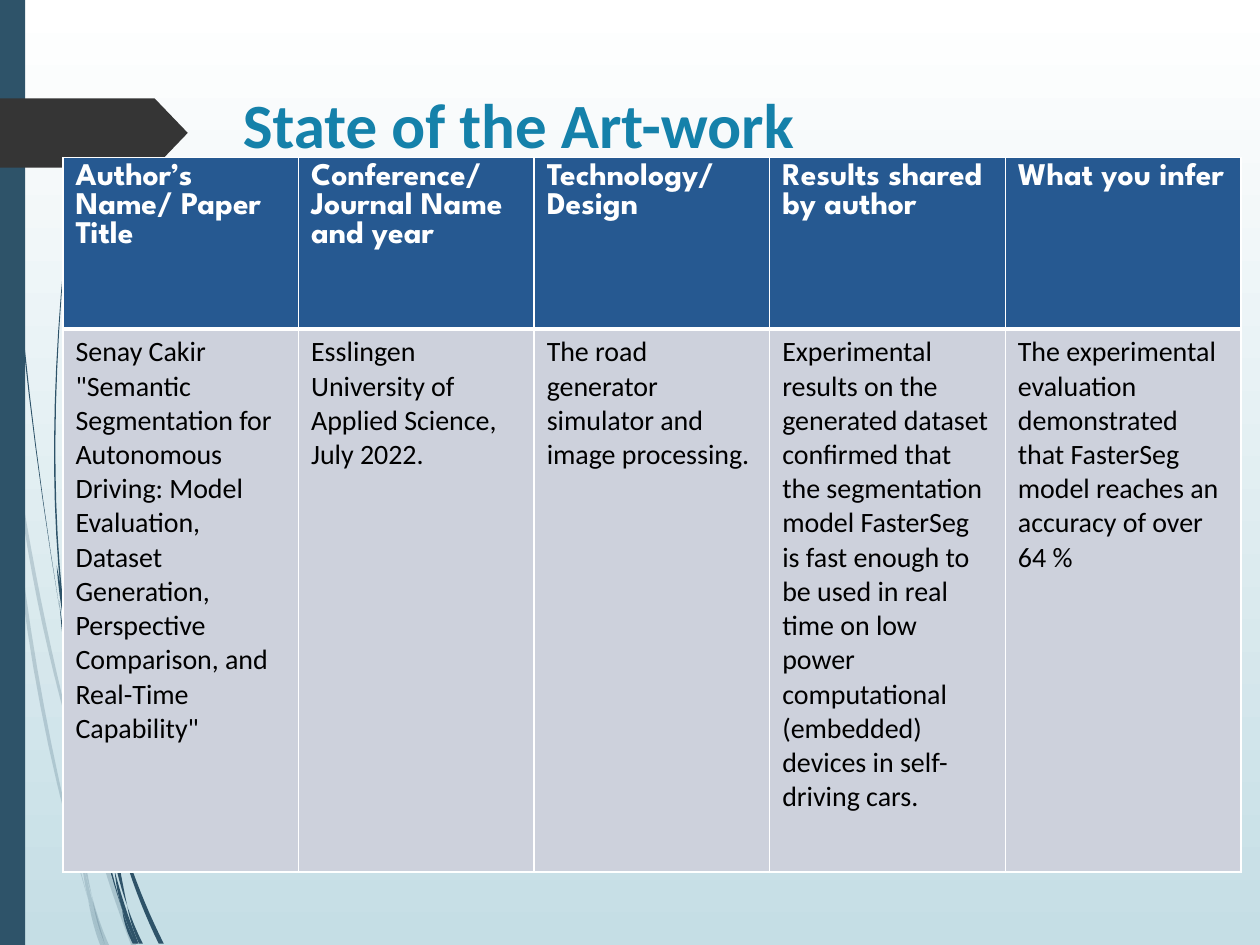
import pptx
import pptx.dml.color
import pptx.enum.shapes
import pptx.enum.text
import pptx.oxml
import pptx.oxml.ns
import pptx.util
from pptx.util import Inches

SLATE, CHARCOAL, WHITE, BLACK = "2E5369", "353535", "FFFFFF", "000000"
SKY, TEAL, NAVY, SILVER = "C5DEE5", "1581AA", "265991", "CDD1DC"
STEPS = 12

PALE_BLADES = {
    "left tip": [(.01, 2.85, .02), (.04, 3.18, .02), (.08, 3.5, 0)],
    "upper stem": [(.11, 3.55, .01), (.31, 4.76, .03), (.59, 5.93, .01)],
    "lower stem": [(.61, 6.03, .01), (.8, 6.75, .03), (1.06, 7.5, .04)],
    "outer stem": [(.08, 3.5, 0), (.28, 5.3, .03), (.7, 7.14, 0)],
    "inner stem": [(.59, 5.99, 0), (.62, 6.55, .03), (.73, 7.11, 0)],
    "tall leaf": [(.6, 5.9, .02), (1, 3.75, .01), (2.17, 1.53, 0)],
    "joint": [(.59, 5.86, 0), (.6, 5.98, .03), (.61, 6.1, 0)],
    "outer root": [(.7, 7.14, 0), (.75, 7.33, .02), (.81, 7.5, .03)],
    "middle root": [(.65, 6.83, 0), (.72, 7.15, .03), (.83, 7.5, .01)],
    "inner root": [(.73, 7.11, 0), (.78, 7.31, .02), (.85, 7.5, .03)],
}
DARK_BLADES = {
    "upper stem": [(.03, 0, .01), (.15, 2.33, .01), (.47, 4.81, 0)],
    "middle stem": [(.5, 4.72, 0), (.67, 5.58, .03), (.88, 6.4, 0)],
    "lower stem": [(.91, 6.48, .01), (1.07, 7, .03), (1.28, 7.49, .04)],
    "outer stem": [(.47, 4.77, 0), (.66, 6, .03), (.97, 7.22, 0)],
    "inner stem": [(.88, 6.45, 0), (.92, 6.8, .03), (1.01, 7.19, 0)],
    "straight leaf": [(.58, 1.41, 0), (.44, 3.2, .01), (.49, 4.72, .01)],
    "tall leaf": [(.9, 6.36, .03), (1.22, 4.95, .02), (2.16, 3.44, 0)],
    "upper joint": [(.45, 4.49, 0), (.49, 4.77, .02), (.53, 5.05, 0)],
    "lower joint": [(.88, 6.31, 0), (.9, 6.44, .03), (.91, 6.56, 0)],
    "outer root": [(.97, 7.22, 0), (1.01, 7.36, .02), (1.07, 7.49, .03)],
    "middle root": [(.91, 6.91, 0), (.98, 7.2, .03), (1.09, 7.49, .02)],
    "inner root": [(1.01, 7.19, 0), (1.06, 7.35, .02), (1.12, 7.49, .03)],
}

SURVEY = {
    "Author’s Name/ Paper Title":
        'Senay Cakir\n"Semantic Segmentation for Autonomous Driving: Model Evaluation, '
        'Dataset Generation, Perspective Comparison, and Real-Time Capability"',
    "Conference/Journal Name and year":
        "Esslingen University of Applied Science, July 2022.",
    "Technology/ Design":
        "The road generator simulator and image processing.",
    "Results shared by author":
        "Experimental results on the generated dataset confirmed that the segmentation "
        "model FasterSeg is fast enough to be used in real time on low power "
        "computational (embedded) devices in self-driving cars.",
    "What you infer":
        "The experimental evaluation demonstrated that FasterSeg model reaches an "
        "accuracy of over 64 %",
}
TITLE_FONT = {"name": "Calibri", "size": pptx.util.Pt(36), "bold": True}
HEADER_FONT = {"name": "League Spartan", "size": pptx.util.Pt(18), "bold": True}
ENTRY_FONT = {"name": "Calibri", "size": pptx.util.Pt(16), "bold": False}


def rgb(value):
    """Return the colour for a hex string."""
    return pptx.dml.color.RGBColor.from_string(value)


def paint(sp, color, alpha=None):
    """Give a shape a plain fill, with an optional opacity in percent."""
    sp.shadow.inherit = False
    sp.fill.solid()
    sp.fill.fore_color.rgb = rgb(color)
    sp.line.fill.background()
    if alpha is not None:
        clr = sp._element.spPr.find(".//" + pptx.oxml.ns.qn("a:srgbClr"))
        clr.append(pptx.oxml.parse_xml(
            f'<a:alpha {pptx.oxml.ns.nsdecls("a")} val="{alpha * 1000}"/>'))


def blend(knots, t):
    """Return x, y and width at t on the parabola through three knots."""
    weights = ((1 - t) * (1 - 2 * t), 4 * t * (1 - t), t * (2 * t - 1))
    return [sum(w * v for w, v in zip(weights, values)) for values in zip(*knots)]


def add_blade(s, knots, box, color, alpha):
    """Draw a curved blade of grass from its (x, y, width) root, middle and tip."""
    left, top = box[:2]
    spine = [blend(knots, i / STEPS) for i in range(STEPS + 1)]
    edges = [[(left + Inches(x + side * width / 2), top + Inches(y))
              for x, y, width in spine] for side in (-1, 1)]
    outline = edges[0] + edges[1][::-1]
    builder = s.shapes.build_freeform(*outline[0])
    builder.add_line_segments(outline[1:], close=True)
    paint(builder.convert_to_shape(), color, alpha)


def add_grass(s, box):
    """Draw the pale blades and then the dark blades over them."""
    for blades, alpha in ((PALE_BLADES, 20), (DARK_BLADES, None)):
        for knots in blades.values():
            add_blade(s, knots, box, SLATE, alpha)


def add_gradient(s):
    """Set the background to fade downwards from white."""
    fill = s.background.fill
    fill.gradient()
    fill.gradient_angle = 270
    for stop, position, color in zip(fill.gradient_stops, (0, 1), (WHITE, SKY)):
        stop.position = position
        stop.color.rgb = rgb(color)


def add_side_bar(s, box):
    """Draw the bar on the left edge and the arrow tag across it."""
    left, top, width, height = box
    shapes = pptx.enum.shapes.MSO_SHAPE
    bar = s.shapes.add_shape(shapes.RECTANGLE, left, top, width, height)
    paint(bar, SLATE)
    tag = s.shapes.add_shape(shapes.PENTAGON, left, top + Inches(0.78),
                             Inches(1.49), Inches(0.55))
    tag.adjustments[0] = 0.48
    paint(tag, CHARCOAL)


def write(tf, text, font, color):
    """Fill a text frame with one paragraph for each line of text."""
    for i, line in enumerate(text.split("\n")):
        p = tf.add_paragraph() if i else tf.paragraphs[0]
        r = p.add_run()
        r.text = line
        r.font.color.rgb = rgb(color)
        for key, value in font.items():
            setattr(r.font, key, value)


def add_title(s, box):
    """Place the slide title."""
    tf = s.shapes.add_textbox(*box).text_frame
    tf.word_wrap = True
    tf.vertical_anchor = pptx.enum.text.MSO_ANCHOR.TOP
    write(tf, "State of the Art-work", TITLE_FONT, TEAL)


def add_borders(cell, widths):
    """Give a cell white borders with widths in points by side."""
    tc_pr = cell._tc.get_or_add_tcPr()
    for side, width in widths.items():
        tc_pr.append(pptx.oxml.parse_xml(
            f'<a:ln{side} {pptx.oxml.ns.nsdecls("a")} w="{pptx.util.Pt(width)}">'
            f'<a:solidFill><a:srgbClr val="{WHITE}"/></a:solidFill></a:ln{side}>'))


def add_survey_table(s, box):
    """Place the literature table with equal columns."""
    table = s.shapes.add_table(2, len(SURVEY), *box).table
    for col in table.columns:
        col.width = int(box[2] / len(SURVEY))
    header_height = Inches(1.36)
    rows = [
        (header_height, SURVEY.keys(), HEADER_FONT, WHITE, NAVY, {"T": 1, "B": 3}),
        (box[3] - header_height, SURVEY.values(), ENTRY_FONT, BLACK, SILVER,
         {"T": 3, "B": 1}),
    ]
    for row, (height, texts, font, color, fill, widths) in zip(table.rows, rows):
        row.height = height
        for cell, text in zip(row.cells, texts):
            add_borders(cell, {"L": 1, "R": 1, **widths})
            cell.fill.solid()
            cell.fill.fore_color.rgb = rgb(fill)
            write(cell.text_frame, text, font, color)


def main():
    """Build the slide and save it."""
    prs = pptx.Presentation()
    prs.slide_width, prs.slide_height = Inches(10), Inches(7.5)
    s = prs.slides.add_slide(prs.slide_layouts[6])
    add_gradient(s)
    add_grass(s, (0, 0, Inches(2.17), prs.slide_height))
    add_side_bar(s, (0, 0, Inches(0.2), prs.slide_height))
    add_title(s, (Inches(1.83), Inches(0.63), Inches(7.21), Inches(0.82)))
    add_survey_table(s, (Inches(0.5), Inches(1.25), Inches(9.35), Inches(5.67)))
    prs.save("out.pptx")


if __name__ == "__main__":
    main()
